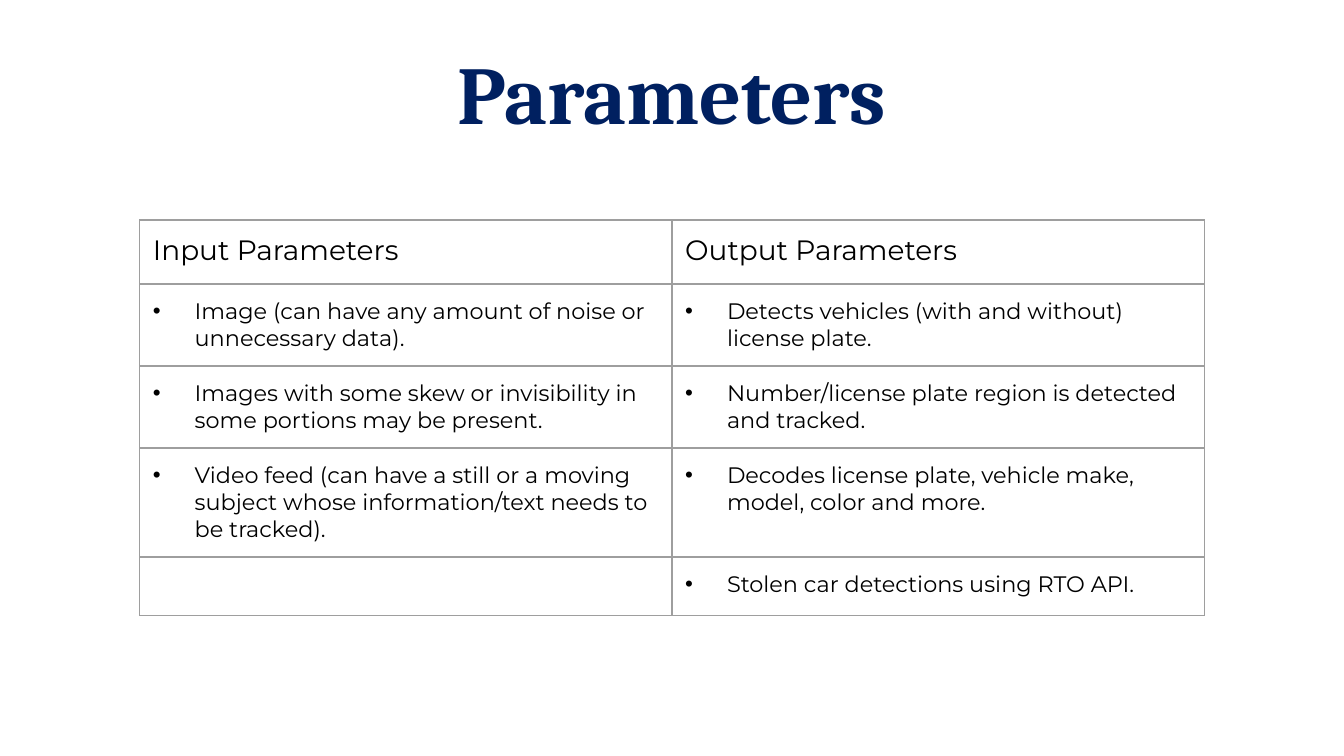
import pptx
import pptx.dml.color
import pptx.enum.text
import pptx.oxml
import pptx.oxml.ns
import pptx.util
from pptx.util import Cm, Pt

NAVY = pptx.dml.color.RGBColor(0x00, 0x20, 0x60)
BLACK = pptx.dml.color.RGBColor(0x00, 0x00, 0x00)
GREY = pptx.dml.color.RGBColor(0x9E, 0x9E, 0x9E)

CELL_MARGIN = Cm(0.25)
BULLET_INDENT = Cm(0.79)
BORDER_WIDTH = Pt(0.75)

ROWS = [
    ("Input Parameters", "Output Parameters"),
    ("Image (can have any amount of noise or unnecessary data).",
     "Detects vehicles (with and without) license plate."),
    ("Images with some skew or invisibility in some portions may be present.",
     "Number/license plate region is detected and tracked."),
    ("Video feed (can have a still or a moving subject whose information/text "
     "needs to be tracked).",
     "Decodes license plate, vehicle make, model, color and more."),
    ("", "Stolen car detections using RTO API."),
]
ROW_HEIGHTS = [Cm(1.21), Cm(1.55), Cm(1.55), Cm(2.06), Cm(1.11)]


def style_run(r, font, size, color, bold=False):
    r.font.name = font
    r.font.size = Pt(size)
    r.font.bold = bold
    r.font.color.rgb = color


def add_title(slide, left, top, width, height):
    tf = slide.shapes.add_textbox(left, top, width, height).text_frame
    tf.word_wrap = True
    tf.vertical_anchor = pptx.enum.text.MSO_ANCHOR.MIDDLE
    tf.text = "Parameters"
    p = tf.paragraphs[0]
    p.alignment = pptx.enum.text.PP_ALIGN.CENTER
    style_run(p.runs[0], "Cambria", 44, NAVY, bold=True)


def add_borders(cell):
    tc_pr = cell._tc.get_or_add_tcPr()
    for side in ("lnL", "lnR", "lnT", "lnB"):
        tc_pr.append(pptx.oxml.parse_xml(
            f'<a:{side} {pptx.oxml.ns.nsdecls("a")} w="{BORDER_WIDTH}">'
            f'<a:solidFill><a:srgbClr val="{GREY}"/></a:solidFill></a:{side}>'))


def add_bullet(p):
    p_pr = p._p.get_or_add_pPr()
    p_pr.set("marL", str(BULLET_INDENT))
    p_pr.set("indent", str(-BULLET_INDENT))
    ns = pptx.oxml.ns.nsdecls("a")
    for xml in (f'<a:buClr {ns}><a:srgbClr val="{BLACK}"/></a:buClr>',
                f'<a:buFont {ns} typeface="Arial"/>',
                f'<a:buChar {ns} char="•"/>'):
        p_pr.append(pptx.oxml.parse_xml(xml))


def fill_cell(cell, text, is_header):
    add_borders(cell)
    cell.fill.background()
    if not text:
        return
    cell.margin_left = cell.margin_right = CELL_MARGIN
    cell.margin_top = cell.margin_bottom = CELL_MARGIN
    cell.text = text
    p = cell.text_frame.paragraphs[0]
    if not is_header:
        add_bullet(p)
    style_run(p.runs[0], "Montserrat", 15 if is_header else 12, BLACK)


def add_parameter_table(slide, left, top, width):
    table = slide.shapes.add_table(
        len(ROWS), len(ROWS[0]), left, top, width, sum(ROW_HEIGHTS)).table
    table.first_row = False
    table.horz_banding = False
    for i, (texts, height) in enumerate(zip(ROWS, ROW_HEIGHTS)):
        table.rows[i].height = height
        for j, text in enumerate(texts):
            fill_cell(table.cell(i, j), text, is_header=i == 0)


def main():
    prs = pptx.Presentation()
    prs.slide_width = Cm(25.4)
    prs.slide_height = Cm(14.29)
    slide = prs.slides.add_slide(prs.slide_layouts[6])
    add_title(slide, Cm(1.27), Cm(0.53), Cm(22.86), Cm(2.39))
    add_parameter_table(slide, Cm(2.64), Cm(4.16), Cm(20.12))
    prs.save("out.pptx")


if __name__ == "__main__":
    main()
